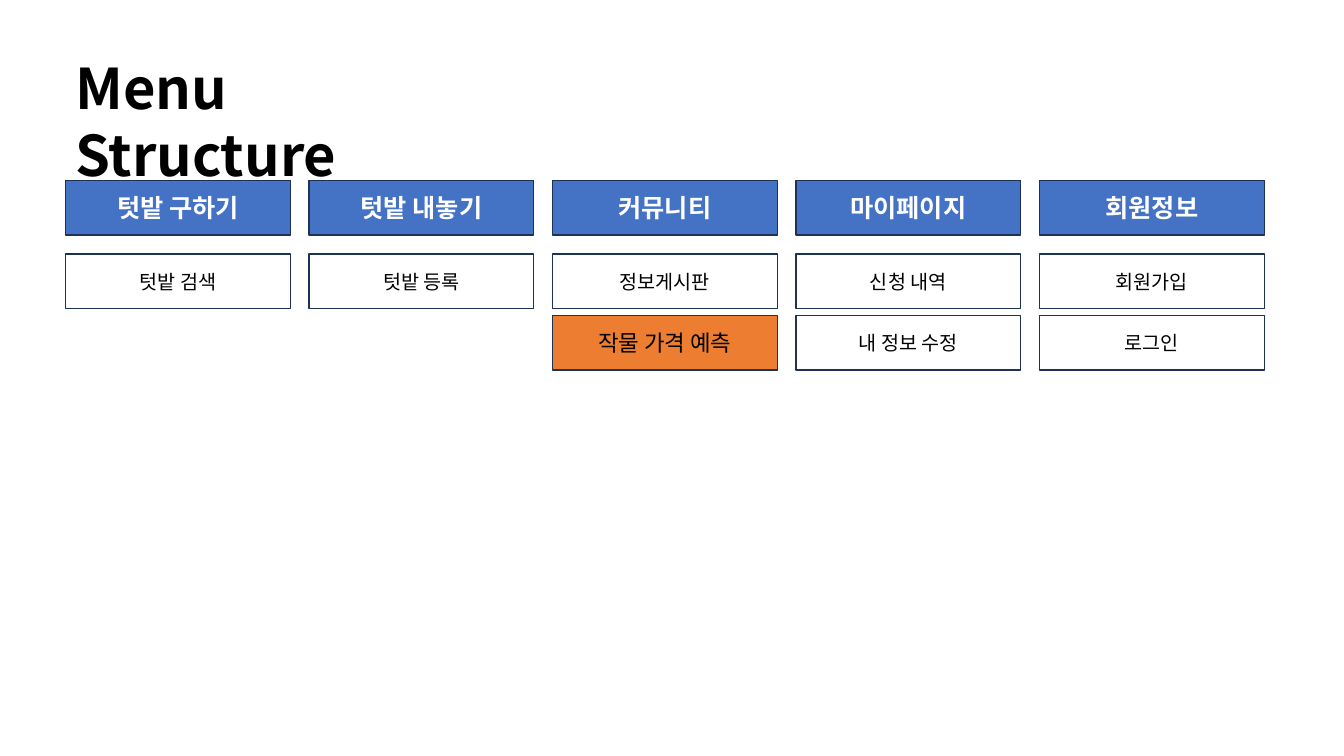
from pptx import Presentation
from pptx.dml.color import RGBColor
from pptx.enum.shapes import MSO_SHAPE
from pptx.enum.text import MSO_ANCHOR, MSO_AUTO_SIZE, PP_ALIGN
from pptx.util import Inches, Pt

RECTANGLE = MSO_SHAPE.RECTANGLE
MIDDLE = MSO_ANCHOR.MIDDLE
TOP = MSO_ANCHOR.TOP
GROW = MSO_AUTO_SIZE.SHAPE_TO_FIT_TEXT
CENTER = PP_ALIGN.CENTER
LEFT = PP_ALIGN.LEFT

BLUE = RGBColor(0x44, 0x72, 0xC4)
NAVY = RGBColor(0x1E, 0x32, 0x56)
ORANGE = RGBColor(0xED, 0x7D, 0x31)
WHITE = RGBColor(0xFF, 0xFF, 0xFF)
BLACK = RGBColor(0x00, 0x00, 0x00)
FONT = "Noto Sans CJK KR"

SLIDE_WIDTH, SLIDE_HEIGHT = 13.33, 7.5
TITLE_BOX = (0.65, 0.48, 4.2, 0.77)
MENU_BOX = (0.65, 1.79, 11.89, 1.88)
CELL_WIDTH, CELL_HEIGHT = 2.23, 0.54
HEADER_GAP, ITEM_GAP = 0.19, 0.07

MENUS = [
    ("텃밭 구하기", ["텃밭 검색"]),
    ("텃밭 내놓기", ["텃밭 등록"]),
    ("커뮤니티", ["정보게시판", "작물 가격 예측"]),
    ("마이페이지", ["신청 내역", "내 정보 수정"]),
    ("회원정보", ["회원가입", "로그인"]),
]
HIGHLIGHTED_ITEM = "작물 가격 예측"


def write_text(shape, text, size, color=BLACK, bold=False, align=CENTER, anchor=MIDDLE):
    frame = shape.text_frame
    frame.word_wrap = True
    frame.vertical_anchor = anchor
    paragraph = frame.paragraphs[0]
    paragraph.alignment = align
    run = paragraph.add_run()
    run.text = text
    run.font.name = FONT
    run.font.size = Pt(size)
    run.font.bold = bold
    run.font.color.rgb = color


def add_cell(slide, left, top, text, fill, **text_format):
    shape = slide.shapes.add_shape(
        RECTANGLE, Inches(left), Inches(top), Inches(CELL_WIDTH), Inches(CELL_HEIGHT)
    )
    shape.shadow.inherit = False
    shape.fill.solid()
    shape.fill.fore_color.rgb = fill
    shape.line.color.rgb = NAVY
    shape.line.width = Pt(1)
    write_text(shape, text, **text_format)


def add_menu(slide, box):
    left, top, width, height = box
    column_step = (width - CELL_WIDTH) / (len(MENUS) - 1)
    first_item_top = top + CELL_HEIGHT + HEADER_GAP
    for column, (header, items) in enumerate(MENUS):
        cell_left = left + column * column_step
        add_cell(slide, cell_left, top, header, BLUE, size=18, color=WHITE, bold=True)
        for row, item in enumerate(items):
            item_top = first_item_top + row * (CELL_HEIGHT + ITEM_GAP)
            highlighted = item == HIGHLIGHTED_ITEM
            add_cell(
                slide, cell_left, item_top, item,
                ORANGE if highlighted else WHITE,
                size=16 if highlighted else 14,
            )


def add_title(slide, box):
    title = slide.shapes.add_textbox(*map(Inches, box))
    write_text(title, "Menu Structure", size=40, bold=True, align=LEFT, anchor=TOP)
    title.text_frame.auto_size = GROW


def main():
    presentation = Presentation()
    presentation.slide_width = Inches(SLIDE_WIDTH)
    presentation.slide_height = Inches(SLIDE_HEIGHT)
    slide = presentation.slides.add_slide(presentation.slide_layouts[6])
    add_menu(slide, MENU_BOX)
    add_title(slide, TITLE_BOX)
    presentation.save("out.pptx")


if __name__ == "__main__":
    main()
